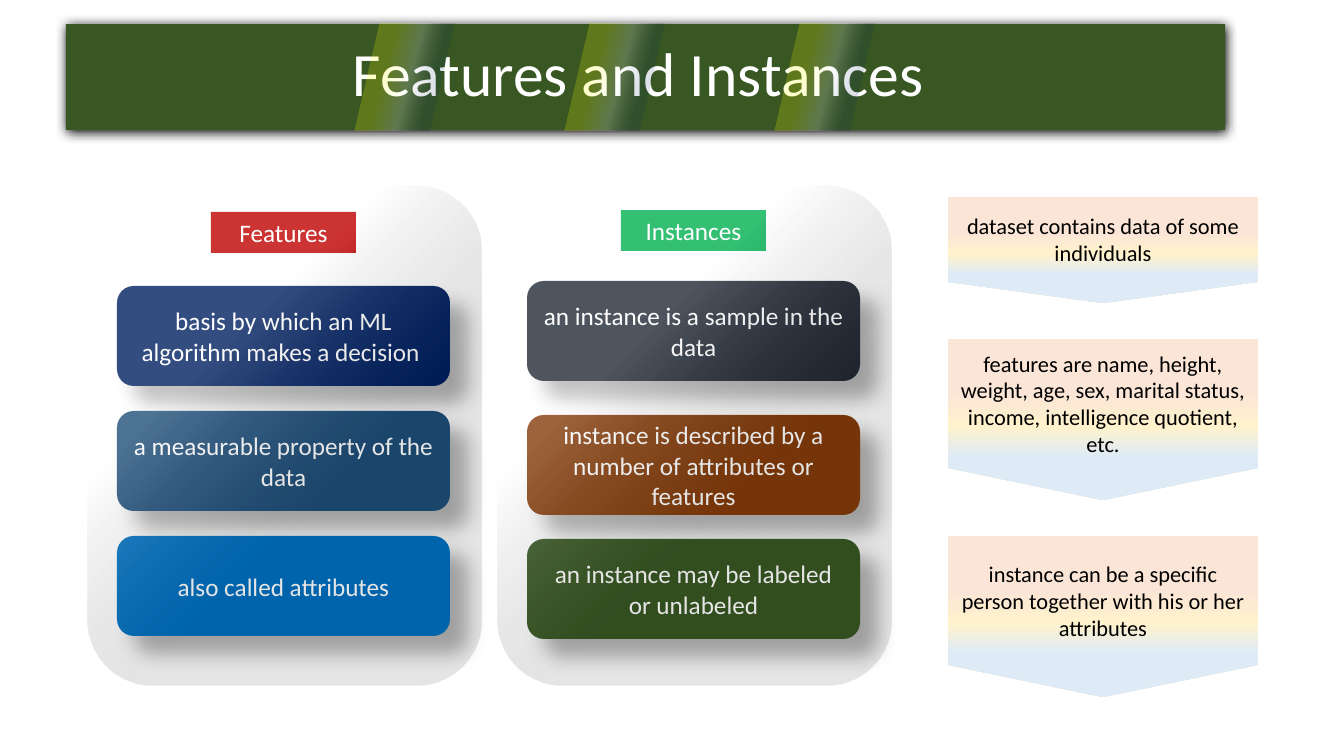
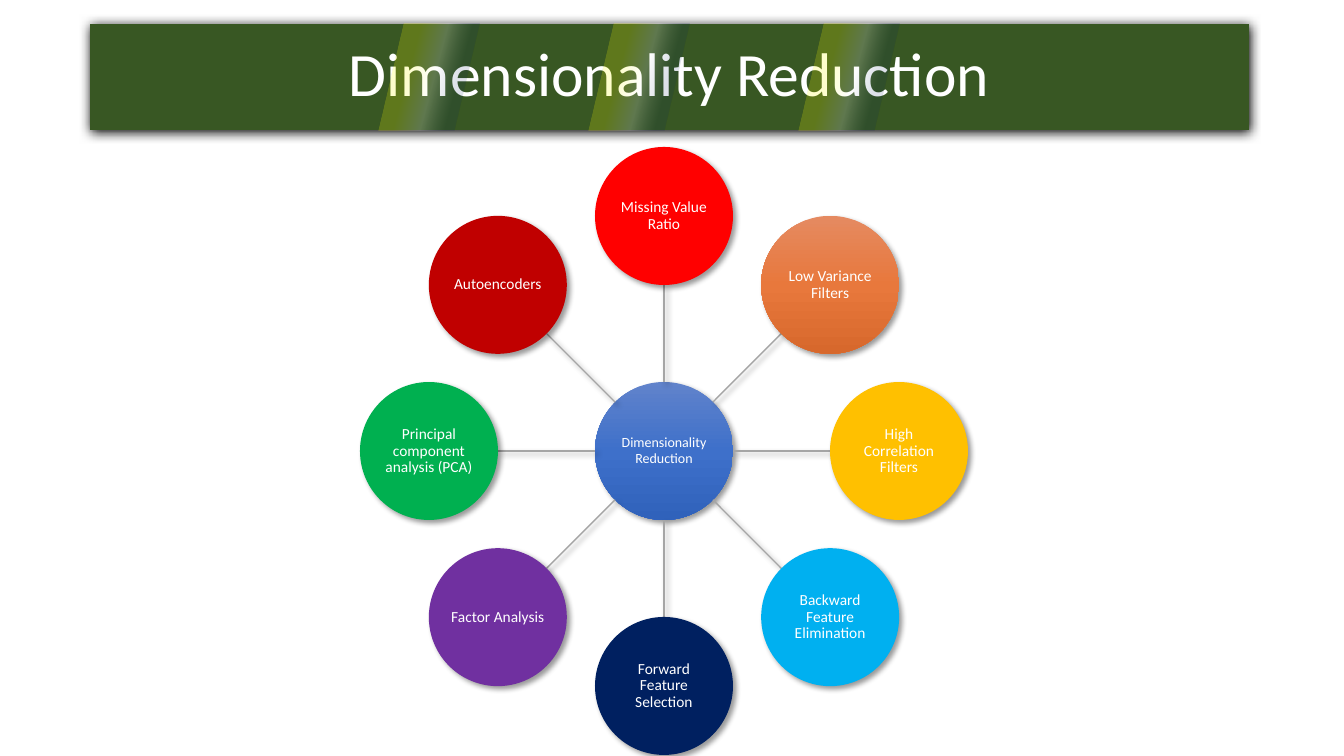
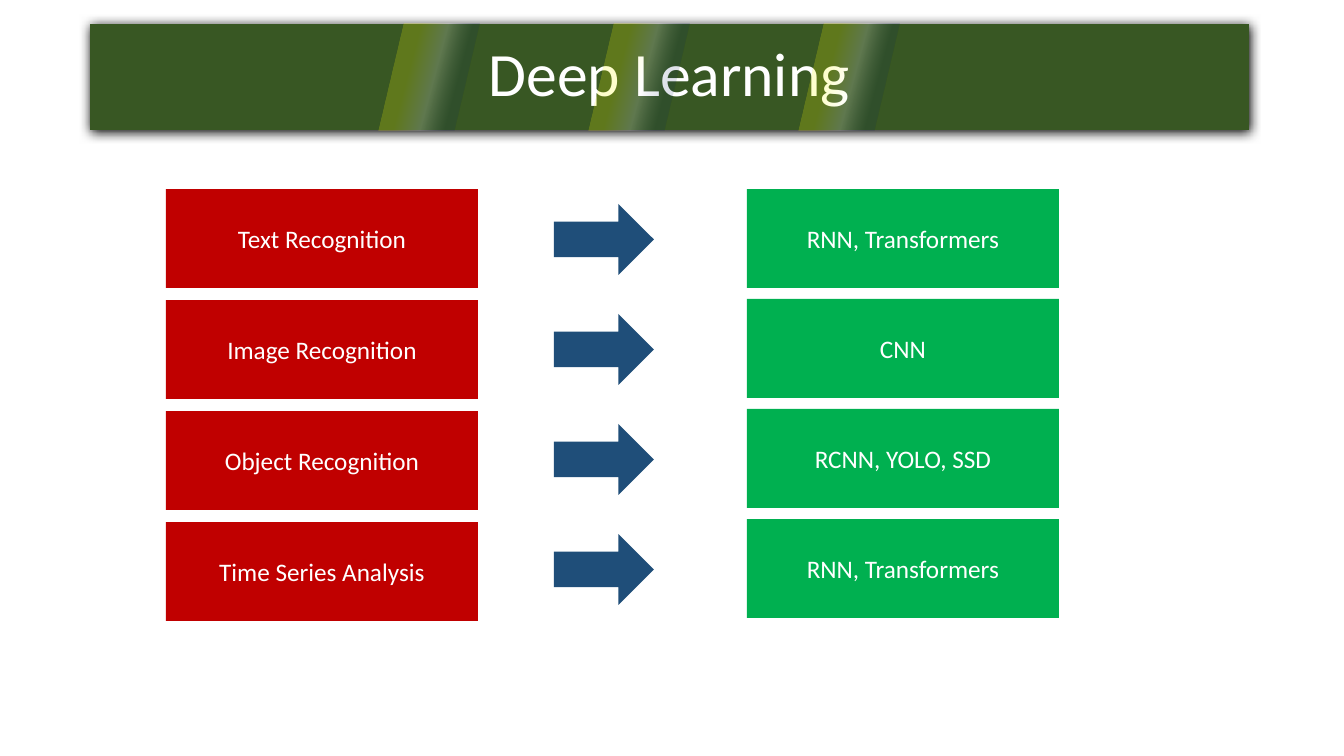
from math import cos, radians, sin

from lxml.etree import SubElement
from pptx import Presentation
from pptx.dml.color import RGBColor
from pptx.enum.shapes import MSO_CONNECTOR, MSO_SHAPE
from pptx.enum.text import MSO_ANCHOR, MSO_AUTO_SIZE, PP_ALIGN
from pptx.oxml import parse_xml
from pptx.oxml.ns import nsdecls, qn
from pptx.util import Emu, Pt

EMU_PER_PX = 914400 / 100.8
FONT = "Calibri"
C = {
    "white": "FFFFFF", "black": "000000", "band": "385723", "navy": "002060",
    "blue": "1F4E79", "azure": "0070C0", "sky": "00B0F0", "slate": "222A35",
    "brown": "843C0B", "crimson": "C00000", "red": "FF0000", "green": "00B050",
    "amber": "FFC000", "purple": "7030A0", "yellow": "FFFF00", "grey": "A5A5A5",
    "peach": "FBE5D6", "cream": "FFF2CC", "ice": "DEEBF7",
    "hub_top": "6183CB", "hub_mid": "3E70CA", "hub_end": "3062BB",
    "rust_top": "E58A61", "rust_mid": "E8783C", "rust_end": "D7682C",
}
# Gradients: angle, then (position %, colour, opacity %)
GRADIENTS = {
    "stripe": (15, [(33, "yellow", 20), (54, "white", 20), (73, "navy", 13)]),
    "panel": (45, [(33, "white", 20), (61, "black", 10)]),
    "note": (90, [(33, "peach", 100), (54, "cream", 100), (73, "ice", 100)]),
    "hub": (90, [(0, "hub_top", 100), (50, "hub_mid", 100), (100, "hub_end", 100)]),
    "rust": (90, [(0, "rust_top", 100), (50, "rust_mid", 100), (100, "rust_end", 100)]),
}
# Shadows: opacity %, blur pt, distance pt, direction
BAND_SHADOW = (100, 8.5, 1, 90)
CARD_SHADOW = (30, 15, 18, 45)
NODE_SHADOW = (40, 4, 3, 45)


def px(n):
    return Emu(round(n * EMU_PER_PX))


def rgb(name):
    return RGBColor.from_string(C[name])


def add_color(parent, name, opacity):
    color = SubElement(parent, qn("a:srgbClr"), val=C[name])
    SubElement(color, qn("a:alpha"), val=str(opacity * 1000))


def set_fill(sp, fill):
    """Fill with a colour name or a gradient name."""
    if fill in C:
        sp.fill.solid()
        sp.fill.fore_color.rgb = rgb(fill)
        return
    angle, stops = GRADIENTS[fill]
    grad = parse_xml(f'<a:gradFill {nsdecls("a")} rotWithShape="1"/>')
    stop_list = SubElement(grad, qn("a:gsLst"))
    for pos, name, opacity in stops:
        add_color(SubElement(stop_list, qn("a:gs"), pos=str(pos * 1000)), name, opacity)
    SubElement(grad, qn("a:lin"), ang=str(angle * 60000), scaled="0")
    sp.fill.background()
    sp_pr = sp.element.spPr
    sp_pr.replace(sp_pr.find(qn("a:noFill")), grad)


def add_shadow(effects, shadow):
    opacity, blur, dist, direction = shadow
    outer = SubElement(effects, qn("a:outerShdw"), blurRad=str(Pt(blur)), dist=str(Pt(dist)),
                       dir=str(direction * 60000), algn="ctr", rotWithShape="0")
    add_color(outer, "black", opacity)


def style_shape(sp, fill, shadow=None):
    set_fill(sp, fill)
    sp.line.fill.background()
    sp.shadow.inherit = False
    if shadow:
        add_shadow(sp.element.spPr.find(qn("a:effectLst")), shadow)


def set_text(sp, text, size, color="white", spacing=None, inset=None):
    tf = sp.text_frame
    tf.text = text
    tf.word_wrap = True
    tf.auto_size = MSO_AUTO_SIZE.NONE
    tf.vertical_anchor = MSO_ANCHOR.MIDDLE
    if inset is not None:
        tf.margin_left = tf.margin_right = tf.margin_top = tf.margin_bottom = px(inset)
    p = tf.paragraphs[0]
    p.alignment = PP_ALIGN.CENTER
    p.line_spacing = spacing
    font = p.runs[0].font
    font.name, font.size, font.color.rgb = FONT, Pt(size), rgb(color)


def add_box(s, kind, x, y, w, h, fill, shadow=None):
    sp = s.shapes.add_shape(kind, px(x), px(y), px(w), px(h))
    style_shape(sp, fill, shadow)
    return sp


def add_titled_slide(prs, title, x=90):
    """Add a slide whose title is a green band crossed by three light stripes."""
    s = prs.slides.add_slide(prs.slide_layouts[5])
    band = s.shapes.title
    band.left, band.top, band.width, band.height = px(x), px(24), px(1159), px(106)
    style_shape(band, "band", BAND_SHADOW)
    set_text(band, title, 44, spacing=0.9)
    for i in range(3):
        add_box(s, MSO_SHAPE.PARALLELOGRAM, x + 289 + 210 * i, 24, 100, 106, "stripe")
    return s


def add_card_panel(s, x, badge, cards):
    """Add a badge and a column of cards under a translucent panel."""
    text, fill, top = badge
    sp = add_box(s, MSO_SHAPE.RECTANGLE, x + 123, top, 145, 41, fill)
    set_text(sp, text, 18)
    for text, fill, top in cards:
        sp = add_box(s, MSO_SHAPE.FLOWCHART_ALTERNATE_PROCESS, x + 29, top, 333, 100,
                     fill, CARD_SHADOW)
        set_text(sp, text, 18)
    add_box(s, MSO_SHAPE.ROUNDED_RECTANGLE, x, 186, 393, 500, "panel")


def add_node(s, cx, cy, diameter, text, size, fill):
    sp = add_box(s, MSO_SHAPE.OVAL, cx - diameter / 2, cy - diameter / 2,
                 diameter, diameter, fill, NODE_SHADOW)
    set_text(sp, text, size, spacing=0.9, inset=1)


def add_spoke(s, x1, y1, x2, y2):
    line = s.shapes.add_connector(MSO_CONNECTOR.STRAIGHT, px(x1), px(y1), px(x2), px(y2))
    line.line.color.rgb = rgb("grey")
    line.line.width = Pt(1)
    add_shadow(SubElement(line.element.spPr, qn("a:effectLst")), NODE_SHADOW)


def build_features(prs):
    s = add_titled_slide(prs, "Features and Instances ", x=66)
    add_card_panel(s, 88, ("Features", "crimson", 212), [
        ("basis by which an ML algorithm makes a decision ", "navy", 286),
        ("a measurable property of the data", "blue", 411),
        ("also called attributes", "azure", 536),
    ])
    add_card_panel(s, 498, ("Instances", "green", 210), [
        ("an instance is a sample in the data", "slate", 281),
        ("instance is described by a number of attributes or features", "brown", 415),
        ("an instance may be labeled or unlabeled", "band", 539),
    ])
    notes = [
        ("dataset contains data of some individuals", 197, 106),
        ("features are name, height, weight, age, sex, marital status, income, "
         "intelligence quotient, etc.", 339, 161),
        ("instance can be a specific person together with his or her attributes", 536, 161),
    ]
    for text, top, height in notes:
        sp = add_box(s, MSO_SHAPE.FLOWCHART_OFFPAGE_CONNECTOR, 948, top, 310, height, "note")
        set_text(sp, text, 16, "black")


def build_reduction(prs):
    s = add_titled_slide(prs, "Dimensionality Reduction")
    cx, cy, diameter, orbit = 664, 451, 138, 235
    methods = [
        ("Missing Value Ratio", "red"),
        ("Low Variance Filters", "rust"),
        ("High Correlation Filters", "amber"),
        ("Backward Feature Elimination", "sky"),
        ("Forward Feature Selection", "navy"),
        ("Factor Analysis", "purple"),
        ("Principal component analysis (PCA)", "green"),
        ("Autoencoders", "crimson"),
    ]
    add_node(s, cx, cy, diameter, "Dimensionality Reduction", 10, "hub")
    near, far = diameter / 2, orbit - diameter / 2
    for i, (text, fill) in enumerate(methods):
        angle = radians(360 / len(methods) * i - 90)
        dx, dy = cos(angle), sin(angle)
        add_spoke(s, cx + near * dx, cy + near * dy, cx + far * dx, cy + far * dy)
        add_node(s, cx + orbit * dx, cy + orbit * dy, diameter, text, 11, fill)


def build_deep_learning(prs):
    s = add_titled_slide(prs, "Deep Learning")
    rows = [
        ("Text Recognition", "RNN, Transformers"),
        ("Image Recognition", "CNN"),
        ("Object Recognition", "RCNN, YOLO, SSD"),
        ("Time Series Analysis", "RNN, Transformers"),
    ]
    for i, (task, models) in enumerate(rows):
        sp = add_box(s, MSO_SHAPE.RECTANGLE, 166, 189 + 111 * i, 312, 99, "crimson")
        set_text(sp, task, 18)
        add_box(s, MSO_SHAPE.RIGHT_ARROW, 554, 204 + 110 * i, 100, 71, "blue")
        sp = add_box(s, MSO_SHAPE.RECTANGLE, 747, 189 + 110 * i, 312, 99, "green")
        set_text(sp, models, 18)


def main():
    prs = Presentation()
    prs.slide_width, prs.slide_height = px(1344), px(756)
    build_features(prs)
    build_reduction(prs)
    build_deep_learning(prs)
    prs.save("out.pptx")


if __name__ == "__main__":
    main()
